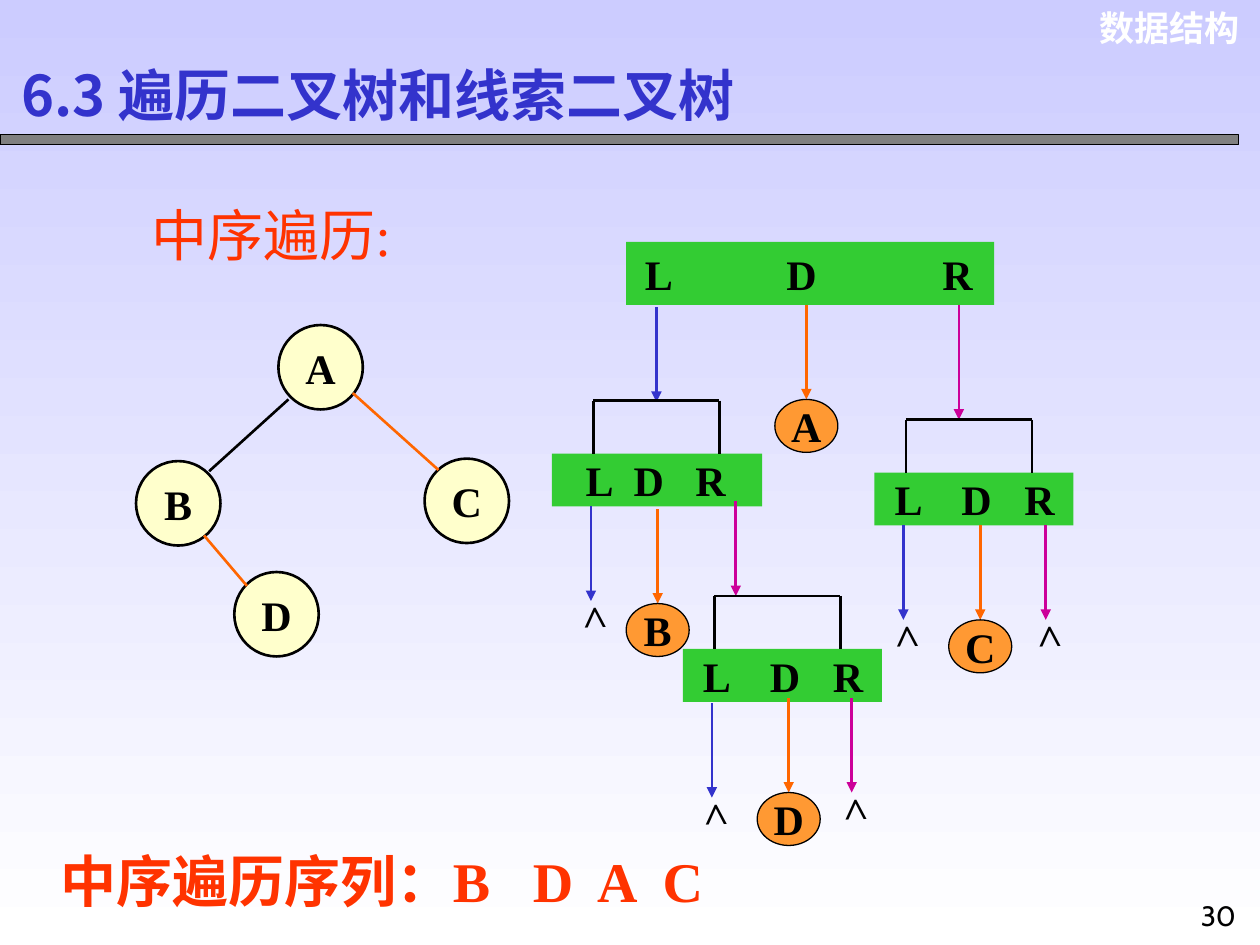
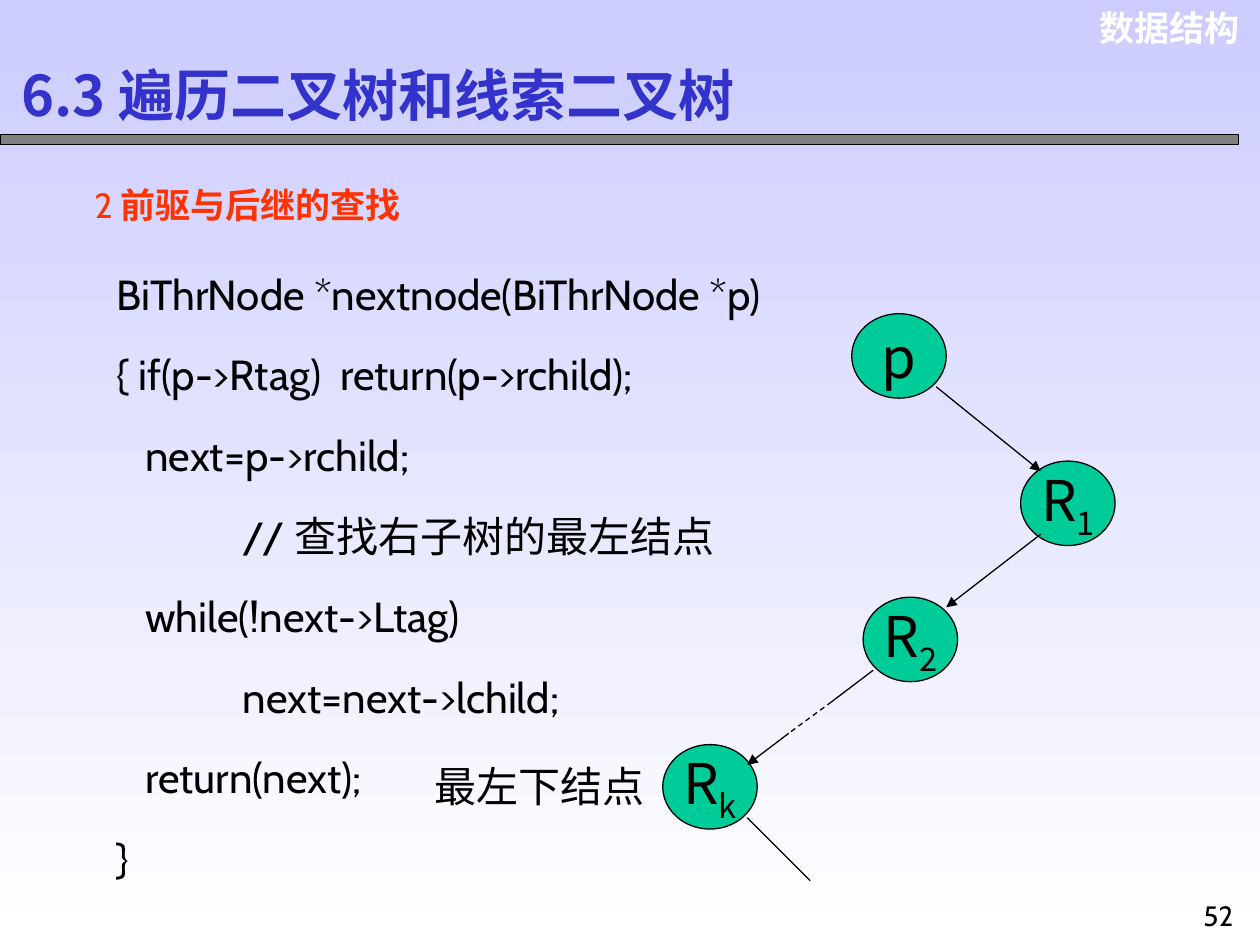
from dataclasses import dataclass

from pptx import Presentation
from pptx import util as u
from pptx.dml import color as dml
from pptx.enum import dml as lines
from pptx.enum import shapes, text
from pptx.oxml import ns
from lxml import etree

COLORS = {
    "sky": "CCCCFF", "white": "FFFFFF", "black": "000000", "gray": "808080",
    "blue": "3333CC", "orange": "FF6600", "magenta": "CC0099", "red": "FF3300",
    "green": "33CC33", "leaf": "FF9933", "cream": "FFFFCC", "teal": "00CC99",
}
COLUMNS, ROWS = 100, 75
CELL = u.Inches(10) // COLUMNS

STYLES = {
    "course": {"size": u.Pt(20), "name": "Arial", "bold": True},
    "title": {"size": u.Pt(32), "name": "Noto Sans CJK SC", "bold": True},
    "page": {"size": u.Pt(16), "name": "Cabin"},
    "letter": {"size": u.Pt(24), "name": "Times New Roman", "bold": True},
    "topic": {"size": u.Pt(32), "name": "Times New Roman"},
    "result": {"size": u.Pt(32), "name": "Times New Roman", "bold": True},
    "number": {"size": u.Pt(20), "name": "Cabin"},
    "heading": {"size": u.Pt(20), "name": "Cabin", "bold": True},
    "code": {"size": u.Pt(24), "name": "Cabin"},
    "node": {"size": u.Pt(32), "name": "Noto Sans CJK JP"},
    "caption": {"size": u.Pt(24), "name": "Noto Sans CJK JP"},
}
ALIGN = text.PP_ALIGN
CODE = [
    "BiThrNode *nextnode(BiThrNode *p)",
    "{ if(p->Rtag)  return(p->rchild);",
    "   next=p->rchild;",
    "\t// 查找右子树的最左结点",
    "   while(!next->Ltag)",
    "\tnext=next->lchild;",
    "   return(next);",
    "}",
]


@dataclass
class Box:
    """An area of the slide grid, in columns and rows."""
    left: float
    top: float
    width: float
    height: float

    def inner(self, left, top, width, height):
        """Return a box placed relative to this one."""
        return Box(self.left + left, self.top + top, width, height)

    def point(self, x, y):
        """Return a grid point placed relative to this box."""
        return self.left + x, self.top + y

    def emu(self):
        """Return the four lengths that python-pptx expects."""
        return [round(value * CELL) for value in (self.left, self.top, self.width, self.height)]


def rgb(name):
    """Look up a colour by its name."""
    return dml.RGBColor.from_string(COLORS[name])


def add_run(paragraph, content, style, color="black", baseline=None):
    """Append a formatted run to a paragraph."""
    run = paragraph.add_run()
    run.text = content
    for attribute, value in STYLES[style].items():
        setattr(run.font, attribute, value)
    run.font.color.rgb = rgb(color)
    properties = run._r.get_or_add_rPr()
    east_asian = "Noto Sans CJK JP" if "JP" in STYLES[style]["name"] else "Noto Sans CJK SC"
    etree.SubElement(properties, ns.qn("a:ea"), typeface=east_asian)
    if baseline:
        properties.set("baseline", str(baseline))


def set_tabs(paragraph, stops, align="l"):
    """Give a paragraph tab stops, in columns from the text edge."""
    tab_list = etree.SubElement(paragraph._p.get_or_add_pPr(), ns.qn("a:tabLst"))
    for stop in stops:
        etree.SubElement(tab_list, ns.qn("a:tab"), pos=str(round(stop * CELL)), algn=align)


def add_label(slide, box, content, style, color="black", align=ALIGN.LEFT, wrap=True, stops=()):
    """Add a text box with one paragraph and return its shape."""
    shape = slide.shapes.add_textbox(*box.emu())
    shape.text_frame.word_wrap = wrap
    paragraph = shape.text_frame.paragraphs[0]
    paragraph.alignment = align
    if stops:
        set_tabs(paragraph, stops)
    add_run(paragraph, content, style, color)
    return shape


def add_figure(slide, kind, box, fill, width=None):
    """Add a flat preset shape, outlined in black if a width is given."""
    shape = slide.shapes.add_shape(kind, *box.emu())
    shape.shadow.inherit = False
    shape.fill.solid()
    shape.fill.fore_color.rgb = rgb(fill)
    if width:
        shape.line.color.rgb = rgb("black")
        shape.line.width = u.Pt(width)
    else:
        shape.line.fill.background()
    return shape


def add_node(slide, box, fill, width, content, style="letter", subscript=""):
    """Add a round tree node with its centred name."""
    shape = add_figure(slide, shapes.MSO_SHAPE.OVAL, box, fill, width)
    frame = shape.text_frame
    frame.word_wrap = False
    frame.vertical_anchor = text.MSO_ANCHOR.MIDDLE
    paragraph = frame.paragraphs[0]
    paragraph.alignment = ALIGN.CENTER
    add_run(paragraph, content, style)
    if subscript:
        add_run(paragraph, subscript, style, baseline=-25000)
    return shape


def add_link(slide, start, end, color="black", width=1.5, arrow=False, dashed=False):
    """Draw a straight line between two grid points."""
    ends = [round(value * CELL) for value in (*start, *end)]
    link = slide.shapes.add_connector(shapes.MSO_CONNECTOR.STRAIGHT, *ends)
    link.line.color.rgb = rgb(color)
    link.line.width = u.Pt(width)
    if dashed:
        link.line.dash_style = lines.MSO_LINE.DASH
    if arrow:
        etree.SubElement(link.line._get_or_add_ln(), ns.qn("a:tailEnd"), type="triangle")
    etree.SubElement(link._element.spPr, ns.qn("a:effectLst"))
    return link


def add_frame(presentation, page):
    """Add a slide with the shared background, band, title and page number."""
    slide = presentation.slides.add_slide(presentation.slide_layouts[6])
    fill = slide.background.fill
    fill.gradient()
    fill.gradient_angle = 270
    for stop, name in zip(fill.gradient_stops, ("sky", "white")):
        stop.color.rgb = rgb(name)
    area = Box(0, 0, COLUMNS, ROWS)
    add_label(slide, area.inner(85.7, 0, 13.7, 4.4), "数据结构", "course", "white", ALIGN.RIGHT)
    add_figure(slide, shapes.MSO_SHAPE.RECTANGLE, area.inner(0, 10.7, 98.3, 0.8), "gray", 0.75)
    title = add_label(slide, area.inner(0.7, 4.6, 67.5, 5.7),
                      "6.3 遍历二叉树和线索二叉树", "title", "blue")
    title.text_frame.vertical_anchor = text.MSO_ANCHOR.MIDDLE
    add_label(slide, area.inner(94.2, 70.8, 5, 4.2), str(page), "page", align=ALIGN.CENTER)
    return slide, area


def add_binary_tree(slide, box):
    """Draw the four-node tree that is traversed."""
    for name, left, top in [("A", 11.3, 0), ("D", 7.8, 19.6), ("B", 0, 10.8), ("C", 22.9, 10.6)]:
        add_node(slide, box.inner(left, top, 6.7, 6.7), "cream", 1.5, name)
    for start, end, color in [
        ((12.1, 5.9), (5.8, 11.6), "black"),
        ((17.2, 5.4), (24, 11.5), "orange"),
        ((5.4, 16.7), (8.8, 20.7), "orange"),
    ]:
        add_link(slide, box.point(*start), box.point(*end), color)


def add_call(slide, box, stops, steps, bracket=None):
    """Draw one L D R call, its bracket and its three outgoing steps."""
    bar = add_figure(slide, shapes.MSO_SHAPE.RECTANGLE, box, "green")
    frame = bar.text_frame
    frame.margin_left = frame.margin_right = 0
    frame.word_wrap = True
    frame.vertical_anchor = text.MSO_ANCHOR.MIDDLE
    paragraph = frame.paragraphs[0]
    paragraph.alignment = ALIGN.LEFT
    set_tabs(paragraph, stops, "ctr")
    add_run(paragraph, "\tL\tD\tR", "letter")
    if bracket:
        corners = [box.point(bracket + x, y) for x, y in [(0, 0), (0, -4.2), (10, -4.2), (10, 0)]]
        for start, end in zip(corners, corners[1:]):
            add_link(slide, start, end)
    for color, (x, gap, length, outcome) in zip(("blue", "orange", "magenta"), steps):
        start = box.point(x, box.height + gap)
        end = start[0], start[1] + length
        arrow = add_link(slide, start, end, color, arrow=True)
        if outcome == ">":
            add_label(slide, Box(end[0] - 2, end[1] - 1.3, 4.2, 5), ">", "letter").rotation = 268.3
        elif outcome:
            leaf = add_node(slide, Box(end[0] - 2.5, end[1], 5, 4.2), "leaf", 0.75, outcome)
            arrow.end_connect(leaf, 0)


def add_call_tree(slide, box):
    """Draw the recursive calls of the inorder traversal."""
    add_call(slide, box.inner(5.9, 0, 29.2, 5), (2.6, 13.9, 26.3),
             [(2.4, 0.2, 7.5, ""), (14.3, 0, 7.5, "A"), (26.4, 0, 9.1, "")])
    add_call(slide, box.inner(0, 16.8, 16.7, 4.2), (3.8, 7.7, 12.6),
             [(3.1, 0, 7.5, ">"), (8.4, 0.2, 7.5, "B"), (14.6, -0.4, 7.5, "")], 3.3)
    add_call(slide, box.inner(10.4, 32.3, 15.8, 4.2), (2.7, 8.1, 13.1),
             [(2.3, 0.1, 7.5, ">"), (8.4, -0.3, 7.5, "D"), (13.4, -0.3, 7.5, ">")], 2.5)
    add_call(slide, box.inner(25.6, 18.3, 15.8, 4.2), (2.7, 8.1, 13.1),
             [(2.3, 0, 7.5, ">"), (8.4, 0, 7.5, "C"), (13.6, 0, 7.5, ">")], 2.5)


def add_code(slide, box):
    """Write the successor function, one paragraph per line."""
    frame = slide.shapes.add_textbox(*box.emu()).text_frame
    frame.word_wrap = True
    for index, line in enumerate(CODE):
        paragraph = frame.add_paragraph() if index else frame.paragraphs[0]
        paragraph.line_spacing = 1.6
        set_tabs(paragraph, [10])
        add_run(paragraph, line, "code")


def add_successor_chain(slide, box):
    """Draw the path from p down to the leftmost node."""
    for name, subscript, left, top in [
        ("p", "", 15, 0), ("R", "1", 28.4, 11.7), ("R", "2", 15.9, 22.5), ("R", "k", 0, 34.2),
    ]:
        add_node(slide, box.inner(left, top, 7.5, 6.7), "teal", 0.75, name, "node", subscript)
    for start, end, arrow, dashed in [
        ((21.7, 5.8), (30, 12.5), True, False),
        ((30, 17.5), (22.5, 23.3), True, False),
        ((16.7, 28.3), (13.4, 30.8), False, False),
        ((13.4, 30.8), (10, 33.3), False, True),
        ((10, 33.3), (6.7, 35.8), True, False),
        ((6.7, 40), (11.7, 45), False, False),
    ]:
        add_link(slide, box.point(*start), box.point(*end), width=0.75, arrow=arrow, dashed=dashed)


def build_traversal(presentation):
    """Build the inorder traversal slide."""
    slide, area = add_frame(presentation, 30)
    add_call_tree(slide, area.inner(43.8, 19.2, 41.4, 48))
    add_label(slide, area.inner(3.8, 66.7, 53.5, 6.4), "中序遍历序列：B\tD\tA\tC",
              "result", "red", stops=(37.5, 42.6, 47.8))
    add_label(slide, area.inner(11, 15.4, 22.1, 6.4), "中序遍历:", "topic", "red", wrap=False)
    add_binary_tree(slide, area.inner(10.8, 25.8, 29.6, 26.3))


def build_successor(presentation):
    """Build the successor search slide."""
    slide, area = add_frame(presentation, 52)
    heading = add_label(slide, area.inner(6.5, 14.1, 27.2, 4.4), "2 ", "number", "red", wrap=False)
    add_run(heading.text_frame.paragraphs[0], "前驱与后继的查找", "heading", "red")
    add_successor_chain(slide, area.inner(52.6, 24.9, 36, 45))
    add_label(slide, area.inner(33.5, 59.9, 22.5, 5), "最左下结点", "caption")
    add_code(slide, area.inner(8.3, 18.4, 57.5, 58.6))


def main():
    """Build and save the presentation."""
    presentation = Presentation()
    presentation.slide_width = COLUMNS * CELL
    presentation.slide_height = ROWS * CELL
    build_traversal(presentation)
    build_successor(presentation)
    presentation.save("out.pptx")


if __name__ == "__main__":
    main()
